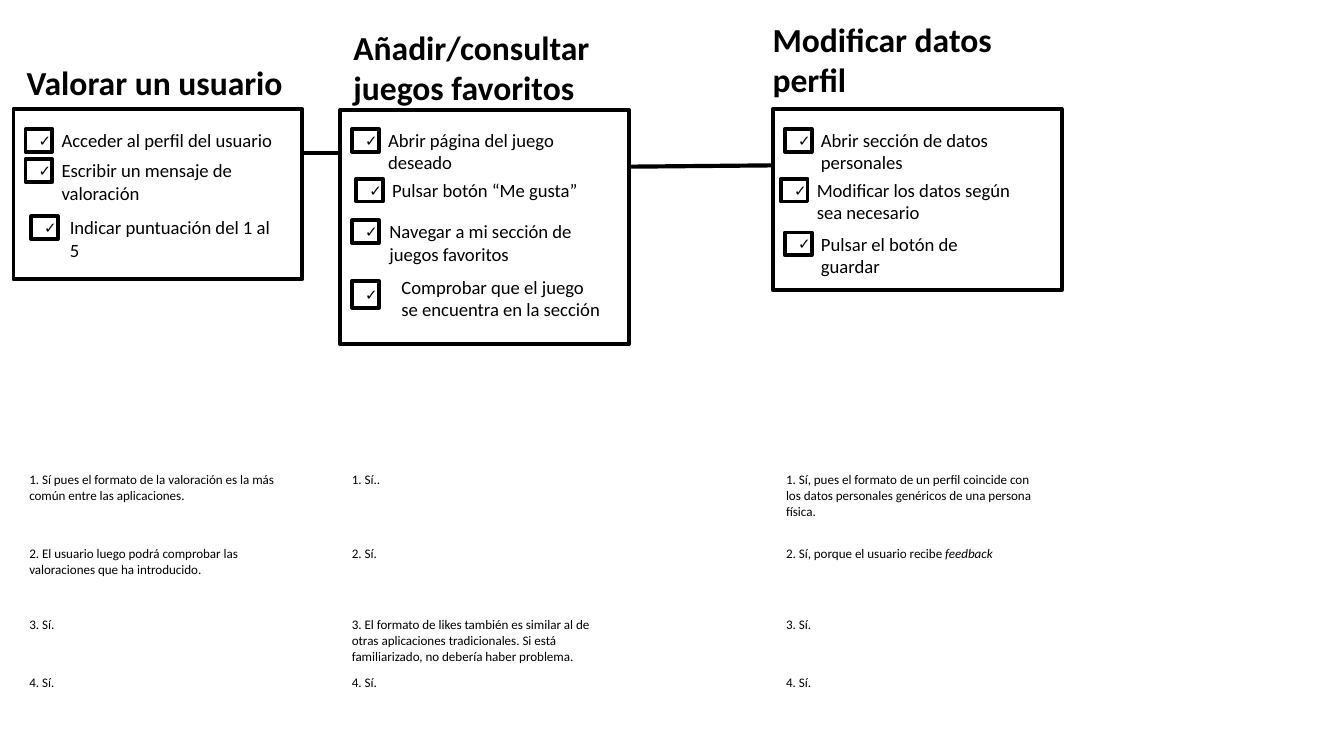
"""Build a slide with three task checklists and the answers below each one."""
from dataclasses import dataclass

from lxml import etree
from pptx import Presentation
from pptx import util as u
from pptx.dml import color
from pptx.enum import shapes, text
from pptx.oxml import ns


@dataclass(frozen=True)
class Theme:
    font: str = "Calibri"
    ink: color.RGBColor = color.RGBColor(0, 0, 0)
    paper: color.RGBColor = color.RGBColor(255, 255, 255)
    heading: float = 18
    step: float = 10
    answer: float = 7
    tick: float = 8
    border: float = 2
    link: float = 2.25


def assign(target, values):
    for name, value in values.items():
        setattr(target, name, value)


class Board:
    def __init__(self, slide, theme):
        self.slide, self.theme = slide, theme

    def fill_text(self, frame, wording, size, bold=False, side=7.2, edge=3.6,
                  anchor=text.MSO_ANCHOR.TOP, fit=text.MSO_AUTO_SIZE.NONE):
        assign(frame, {
            "word_wrap": True, "auto_size": fit, "vertical_anchor": anchor,
            "margin_left": u.Pt(side), "margin_right": u.Pt(side),
            "margin_top": u.Pt(edge), "margin_bottom": u.Pt(edge)})
        paragraph = frame.paragraphs[0]
        paragraph.alignment = text.PP_ALIGN.LEFT
        for index, piece in enumerate(wording.split("*")):
            if piece:
                run = paragraph.add_run()
                run.text = piece
                assign(run.font, {"name": self.theme.font, "size": u.Pt(size),
                                  "bold": bold, "italic": index % 2 == 1})
                run.font.color.rgb = self.theme.ink

    def label(self, parent, bounds, wording, size, **style):
        box = parent.add_textbox(*map(u.Pt, bounds))
        self.fill_text(box.text_frame, wording, size, **style)

    def frame(self, parent, bounds):
        outline = parent.add_shape(shapes.MSO_SHAPE.RECTANGLE, *map(u.Pt, bounds))
        outline.shadow.inherit = False
        outline.fill.solid()
        outline.fill.fore_color.rgb = self.theme.paper
        outline.line.color.rgb = self.theme.ink
        outline.line.width = u.Pt(self.theme.border)
        return outline

    def heading(self, left, top, width, wording):
        self.label(self.slide.shapes, (left, top, width, 28.8), wording,
                   self.theme.heading, bold=True, fit=text.MSO_AUTO_SIZE.SHAPE_TO_FIT_TEXT)

    def step(self, wording, left, top, width, shift=12.2, rise=3.6, side=12.2):
        group = self.slide.shapes.add_group_shape().shapes
        self.label(group, (left + shift, top - rise, width, 19.4), wording,
                   self.theme.step, fit=text.MSO_AUTO_SIZE.SHAPE_TO_FIT_TEXT)
        checkbox = self.frame(group, (left, top, 14.4, side))
        self.fill_text(checkbox.text_frame, "✓", self.theme.tick,
                       anchor=text.MSO_ANCHOR.MIDDLE)

    def answer(self, left, top, wording):
        self.label(self.slide.shapes, (left, top, 150.5, 34.6), wording,
                   self.theme.answer, edge=7.2)

    def link(self, *ends):
        line = self.slide.shapes.add_connector(
            shapes.MSO_CONNECTOR.STRAIGHT, *map(u.Pt, ends))
        line.line.color.rgb = self.theme.ink
        line.line.width = u.Pt(self.theme.link)
        etree.SubElement(line._element.spPr, ns.qn("a:effectLst"))


CARD_WIDTH = 154.8
ANSWER_TOPS = (245.5, 285.1, 323.3, 354.2)
TASKS = [
    {"card": (7.2, 58.3, CARD_WIDTH, 91.4),
     "heading": (7.2, 29.5, CARD_WIDTH, "Valorar un usuario"),
     "steps": [("Acceder al perfil del usuario", 13.7, 69.1, 129.6),
               ("Escribir un mensaje de valoración", 13.7, 85.2, 129.6),
               ("Indicar puntuación del 1 al 5", 16.6, 115.9, 121.7, 13.7)],
     "answers_left": 8.6,
     "answers": ["1. Sí pues el formato de la valoración es la más común entre las aplicaciones.",
                 "2. El usuario luego podrá comprobar las valoraciones que ha introducido.",
                 "3. Sí.", "4. Sí."]},
    {"card": (182.2, 59, CARD_WIDTH, 125.3),
     "heading": (182.2, 10.8, CARD_WIDTH, "Añadir/consultar juegos favoritos"),
     "steps": [("Abrir página del juego deseado", 188.6, 69.1, 127.4),
               ("Pulsar botón “Me gusta”", 190.8, 95.8, 129.6),
               ("Navegar a mi sección de juegos favoritos", 188.6, 118.1, 122.4, 13),
               ("Comprobar que el juego se encuentra en la sección",
                188.6, 150.5, 122.4, 19.4, 6.5, 14.4)],
     "answers_left": 181.4,
     "answers": ["1. Sí..", "2. Sí.",
                 "3. El formato de likes también es similar al de otras aplicaciones "
                 "tradicionales. Si está familiarizado, no debería haber problema.",
                 "4. Sí."]},
    {"card": (414, 58.3, CARD_WIDTH, 97.2),
     "heading": (406.8, 6.5, 153.4, "Modificar datos perfil"),
     "steps": [("Abrir sección de datos personales", 420.5, 69.1, 126.7),
               ("Modificar los datos según sea necesario", 418.3, 95.8, 128.9),
               ("Pulsar el botón de guardar", 420.5, 124.6, 118.8)],
     "answers_left": 414,
     "answers": ["1. Sí, pues el formato de un perfil coincide con los datos personales "
                 "genéricos de una persona física.",
                 "2. Sí, porque el usuario recibe *feedback*", "3. Sí.", "4. Sí."]},
]
LINKS = [(162, 82.1, 182.2, 82.1), (337, 89.3, 414.7, 88.6)]


def main():
    deck = Presentation()
    assign(deck, {"slide_width": u.Pt(720), "slide_height": u.Pt(405)})
    board = Board(deck.slides.add_slide(deck.slide_layouts[6]), Theme())
    for task in TASKS:
        board.frame(board.slide.shapes, task["card"])
        board.heading(*task["heading"])
        for step in task["steps"]:
            board.step(*step)
        for top, wording in zip(ANSWER_TOPS, task["answers"]):
            board.answer(task["answers_left"], top, wording)
    for ends in LINKS:
        board.link(*ends)
    deck.save("out.pptx")


if __name__ == "__main__":
    main()
